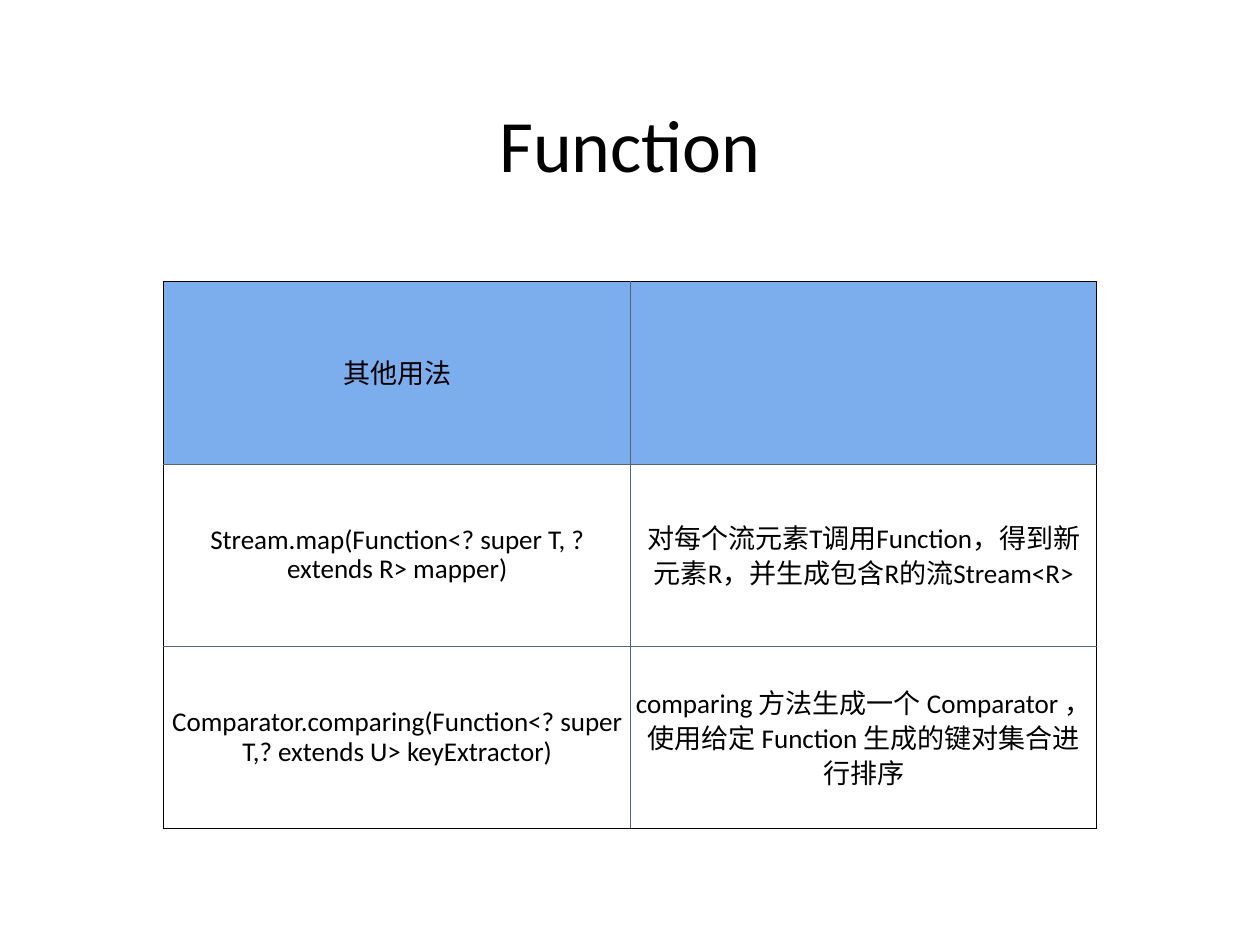
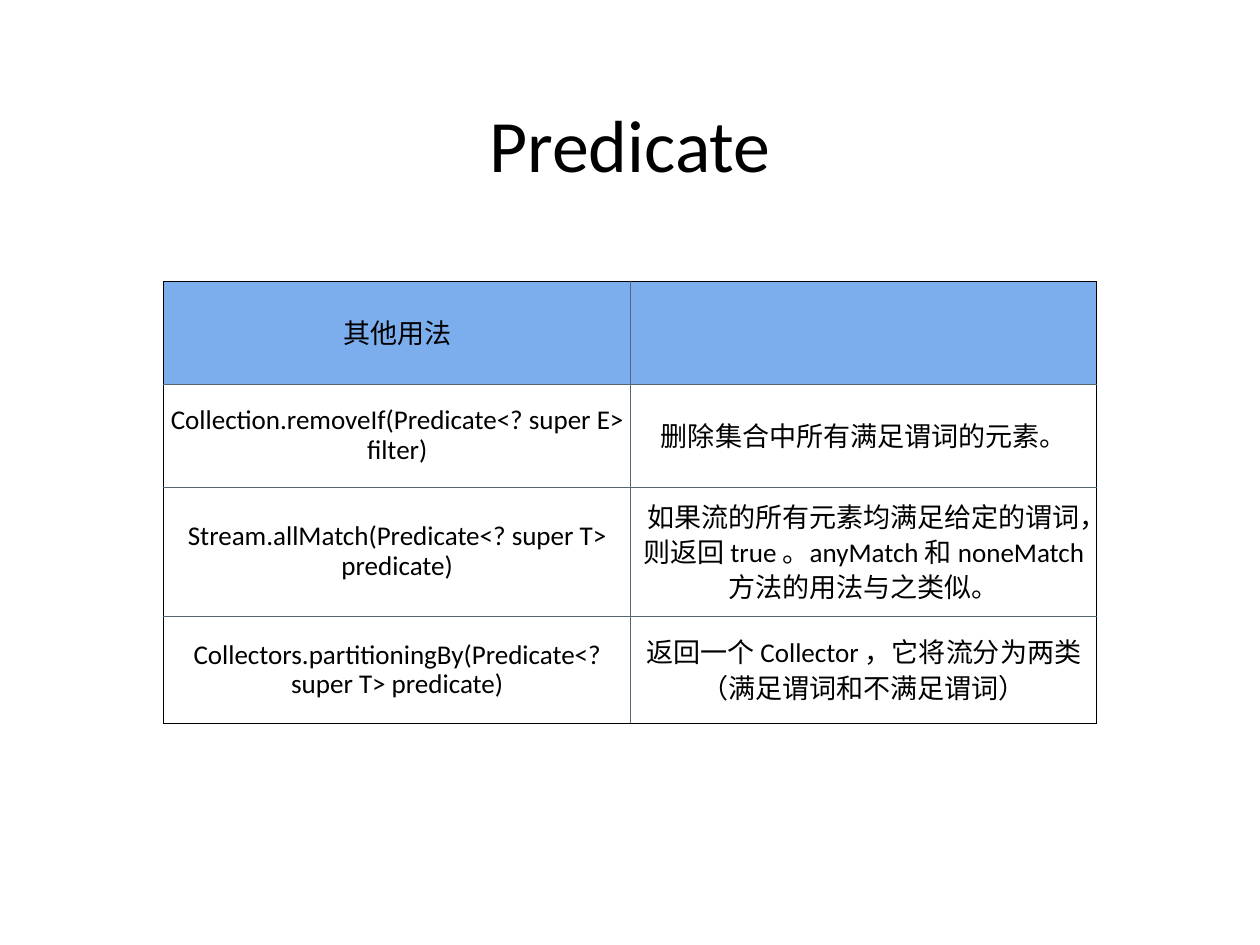
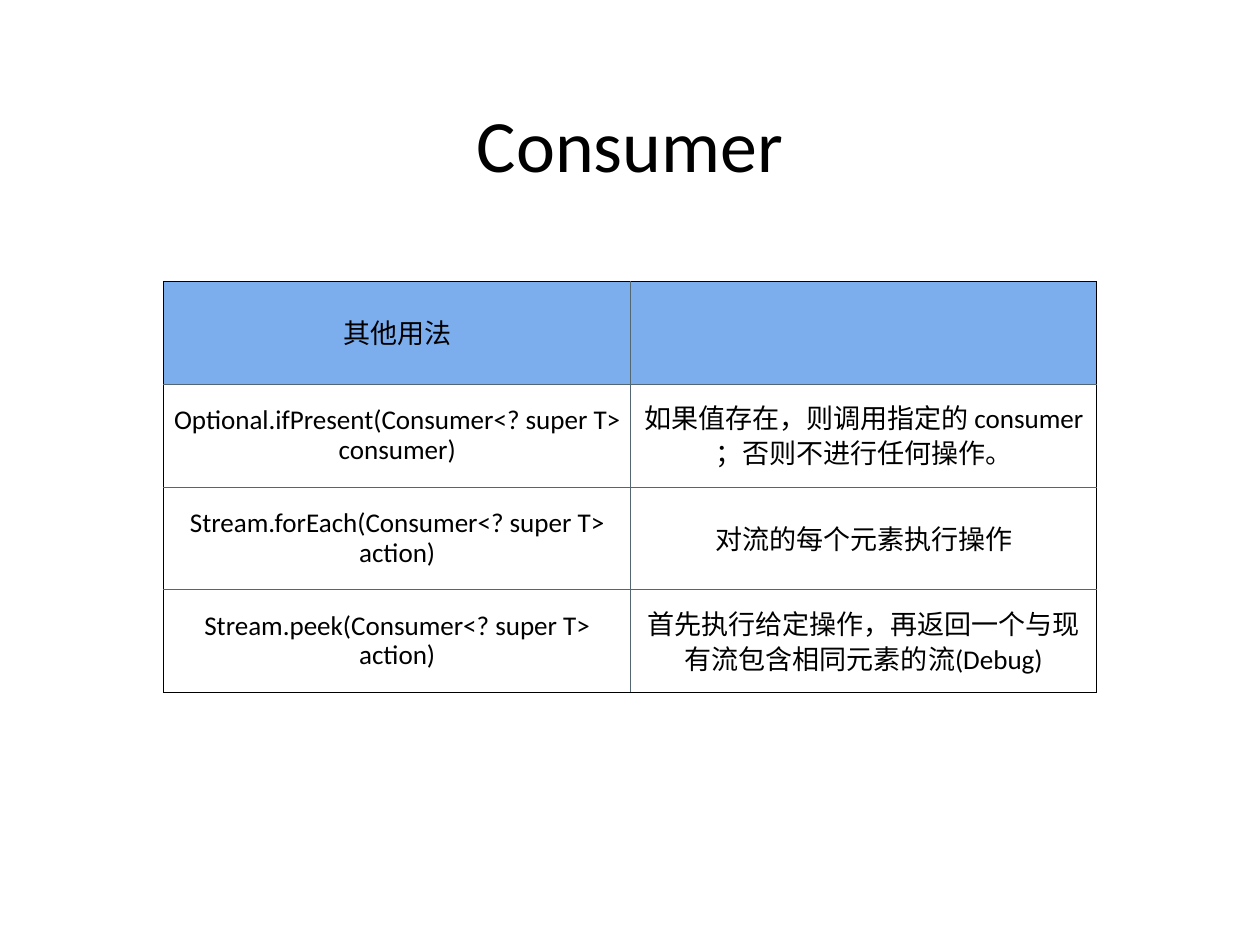
from lxml import etree
from pptx import Presentation
from pptx.dml.color import RGBColor
from pptx.enum.text import MSO_ANCHOR, MSO_AUTO_SIZE, PP_ALIGN
from pptx.oxml.ns import qn
from pptx.util import Inches, Pt

CENTER = PP_ALIGN.CENTER
MIDDLE = MSO_ANCHOR.MIDDLE
GROW = MSO_AUTO_SIZE.SHAPE_TO_FIT_TEXT

FONT = "Calibri"
BLACK = "000000"
BLUE = "7CADED"
SLATE = "536773"
WIDE, HIGH = 14.22, 10.67
PAD = 0.06
HEAD = ("其他用法", "")

PAGES = [
    ("Function", 3.52, [2.06] * 3, [
        ("Stream.map(Function<? super T, ? extends R> mapper)",
         "对每个流元素T调用Function，得到新元素R，并生成包含R的流Stream<R>"),
        ("Comparator.comparing(Function<? super T,? extends U> keyExtractor)",
         "comparing 方法生成一个 Comparator ，使用给定 Function 生成的键对集合进行排序"),
    ]),
    ("Predicate", 3.69, [1.16, 1.16, 1.46, 1.21], [
        ("Collection.removeIf(Predicate<? super E> filter)",
         "删除集合中所有满足谓词的元素。"),
        ("Stream.allMatch(Predicate<? super T> predicate)",
         "如果流的所有元素均满足给定的谓词，则返回 true 。anyMatch 和 noneMatch 方法的用法与之类似。"),
        ("Collectors.partitioningBy(Predicate<? super T> predicate)",
         "返回一个 Collector ，它将流分为两类（满足谓词和不满足谓词）"),
    ]),
    ("Consumer", 4.08, [1.16] * 4, [
        ("Optional.ifPresent(Consumer<? super T> consumer)",
         "如果值存在，则调用指定的 consumer ；否则不进行任何操作。"),
        ("Stream.forEach(Consumer<? super T> action)",
         "对流的每个元素执行操作"),
        ("Stream.peek(Consumer<? super T> action)",
         "首先执行给定操作，再返回一个与现有流包含相同元素的流(Debug)"),
    ]),
]


def color(code):
    return RGBColor.from_string(code)


def inset(part):
    part.margin_left = part.margin_right = Inches(PAD)
    part.margin_top = part.margin_bottom = Inches(PAD)
    part.vertical_anchor = MIDDLE


def write(frame, text, size):
    frame.text = text
    para = frame.paragraphs[0]
    para.alignment = CENTER
    para.line_spacing = 0.9
    para.font.size = Pt(size)
    for run in para.runs:
        run.font.name = FONT
        run.font.size = Pt(size)
        run.font.color.rgb = color(BLACK)


def add_title(slide, text, box):
    frame = slide.shapes.add_textbox(*map(Inches, box)).text_frame
    inset(frame)
    write(frame, text, 60)
    frame.word_wrap = False
    frame.auto_size = GROW


def add_edge(cell, side, code):
    props = cell._tc.get_or_add_tcPr()
    line = etree.SubElement(props, qn("a:ln" + side), w=str(Pt(1)))
    fill = etree.SubElement(line, qn("a:solidFill"))
    etree.SubElement(fill, qn("a:srgbClr"), val=code)


def style_cell(cell, text, outer, head):
    inset(cell)
    write(cell.text_frame, text, 22)
    for side in "LRTB":
        add_edge(cell, side, BLACK if side in outer else SLATE)
    if head:
        cell.fill.solid()
        cell.fill.fore_color.rgb = color(BLUE)
    else:
        cell.fill.background()


def add_grid(slide, rows, highs, box):
    left, top, wide = box
    frame = slide.shapes.add_table(
        len(rows), 2, *map(Inches, (left, top, wide, sum(highs))))
    table = frame.table
    table.first_row = table.horz_banding = False
    for col in table.columns:
        col.width = Inches(wide / 2)
    for r, (texts, high) in enumerate(zip(rows, highs)):
        table.rows[r].height = Inches(high)
        ends = ("T" if r == 0 else "") + ("B" if r == len(rows) - 1 else "")
        for c, text in enumerate(texts):
            style_cell(table.cell(r, c), text, "LR"[c] + ends, r == 0)


def add_page(deck, title, wide, highs, rows):
    slide = deck.slides.add_slide(deck.slide_layouts[6])
    add_title(slide, title, ((WIDE - wide) / 2, 0.99, wide, 1.37))
    add_grid(slide, [HEAD] + rows, highs, (1.85, 3.18, 10.53))


def main():
    deck = Presentation()
    deck.slide_width = Inches(WIDE)
    deck.slide_height = Inches(HIGH)
    for page in PAGES:
        add_page(deck, *page)
    deck.save("out.pptx")


if __name__ == "__main__":
    main()
